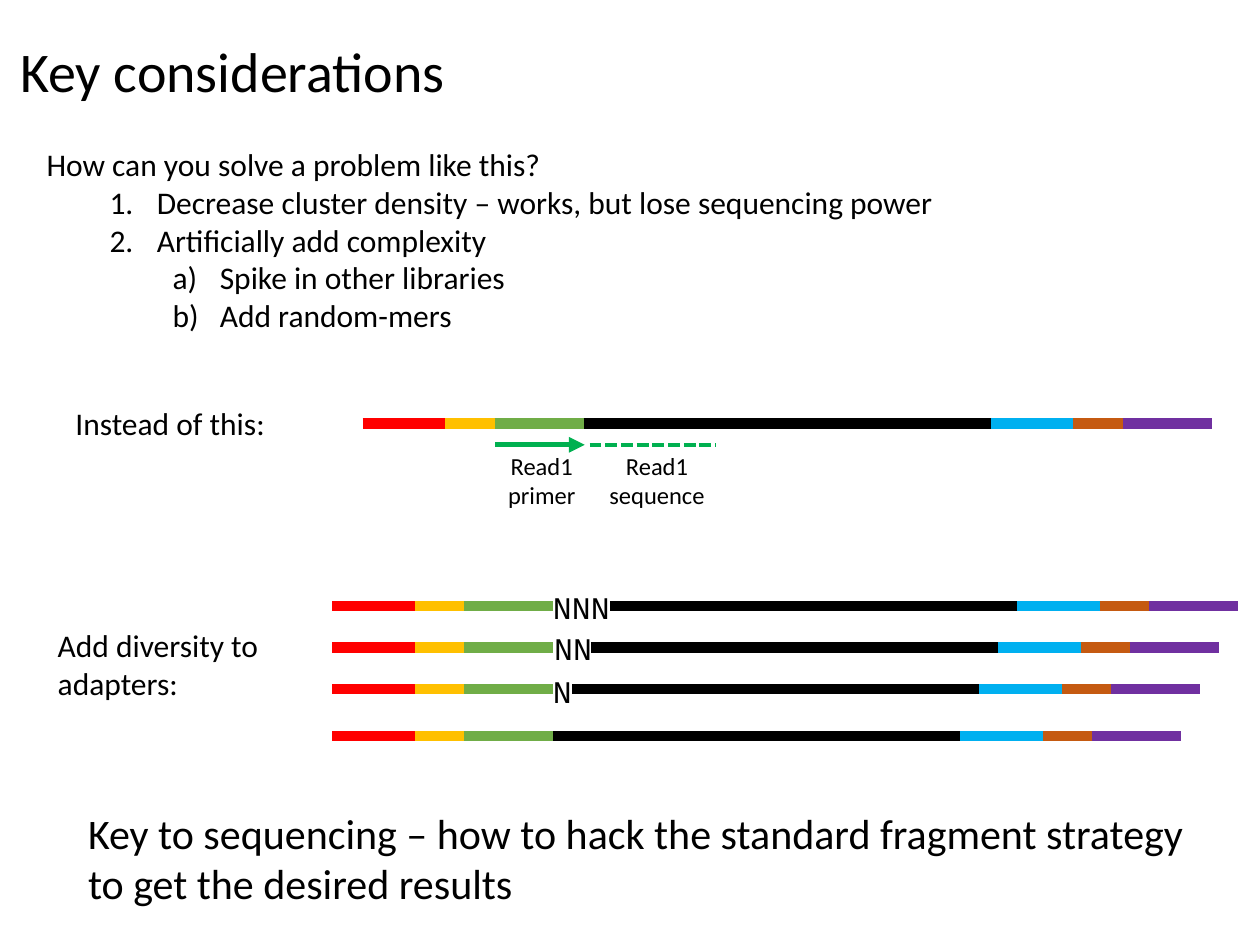
from dataclasses import dataclass

import pptx
import pptx.util
import pptx.dml.color
import pptx.enum.dml
import pptx.enum.shapes
import pptx.enum.text
import pptx.oxml.ns
from lxml import etree

Pt = pptx.util.Pt
ALIGN = pptx.enum.text.PP_ALIGN
FIT = pptx.enum.text.MSO_AUTO_SIZE
ANCHOR = pptx.enum.text.MSO_ANCHOR
DASH = pptx.enum.dml.MSO_LINE.SQUARE_DOT
STRAIGHT = pptx.enum.shapes.MSO_CONNECTOR.STRAIGHT
qn = pptx.oxml.ns.qn

COLORS = {
    "black": "000000", "red": "FF0000", "gold": "FFC000", "green": "70AD47",
    "blue": "00B0F0", "brown": "C55A11", "purple": "7030A0", "read": "00B050",
}


@dataclass
class Label:
    text: str
    left: float
    top: float
    width: float
    height: float
    size: float = 18
    face: str = "Calibri"
    align: ALIGN = ALIGN.LEFT


@dataclass
class Strand:
    left: float
    y: float
    gap: float = 0


@dataclass
class Item:
    text: str
    level: int = 0
    scheme: str = ""


# Segment colours and lengths on each side of the random-mer gap
HEAD = [("red", 47.2), ("gold", 28.2), ("green", 50.9)]
TAIL = [("black", 232.6), ("blue", 47.2), ("brown", 28.2), ("purple", 51)]
STEP = 10.8  # shift per random base

STRANDS = [
    Strand(207.2, 241.9),
    Strand(189.8, 346.3, 3 * STEP),
    Strand(189.8, 370.1, 2 * STEP),
    Strand(189.8, 393.8, STEP),
    Strand(189.8, 420.5),
]

LABELS = [
    Label("Instead of this:", 36, 227.5, 193, 29),
    Label("Read1 primer", 276.5, 254.2, 66.2, 41, 14, align=ALIGN.CENTER),
    Label("Read1 sequence", 339.1, 254.2, 72.7, 41, 14, align=ALIGN.CENTER),
    Label("Add diversity to adapters:", 25.9, 354.2, 146.2, 51),
    Label("N", 308.9, 380.2, 29.5, 29, face="Courier New"),
    Label("NN", 309.6, 355.7, 46.8, 29, face="Courier New"),
    Label("NNN", 308.9, 332.6, 48, 29, face="Courier New"),
    Label("Key to sequencing – how to hack the standard fragment strategy "
          "to get the desired results", 43.2, 457.9, 658.8, 65.5, 24),
]

ITEMS = [
    Item("How can you solve a problem like this?"),
    Item("Decrease cluster density – works, but lose sequencing power",
         1, "arabicPeriod"),
    Item("Artificially add complexity", 1, "arabicPeriod"),
    Item("Spike in other libraries", 2, "alphaLcParenR"),
    Item("Add random-mers", 2, "alphaLcParenR"),
]


def color(name: str) -> pptx.dml.color.RGBColor:
    return pptx.dml.color.RGBColor.from_string(COLORS[name])


def assign(target, values: dict) -> None:
    for key, value in values.items():
        setattr(target, key, value)


def place(shape, left: float, top: float, width: float, height: float) -> None:
    assign(shape, {"left": Pt(left), "top": Pt(top),
                   "width": Pt(width), "height": Pt(height)})


def write(para, text: str, size: float, face: str = "Calibri") -> None:
    run = para.add_run()
    run.text = text
    assign(run.font, {"size": Pt(size), "name": face})
    run.font.color.rgb = color("black")


def draw_line(slide, start: float, end: float, y: float, tint: str,
              width: float, dash=None, arrow: bool = False) -> None:
    line = slide.shapes.add_connector(STRAIGHT, Pt(start), Pt(y), Pt(end), Pt(y))
    line.line.color.rgb = color(tint)
    assign(line.line, {"width": Pt(width), "dash_style": dash})
    if arrow:
        etree.SubElement(line.line._ln, qn("a:tailEnd"), type="triangle")
    etree.SubElement(line._element.spPr, qn("a:effectLst"))


def draw_strand(slide, strand: Strand) -> None:
    x = strand.left
    for part, gap in ((HEAD, strand.gap), (TAIL, 0)):
        for tint, length in part:
            draw_line(slide, x, x + length, strand.y, tint, 6)
            x += length
        x += gap


def draw_label(slide, label: Label) -> None:
    box = slide.shapes.add_textbox(0, 0, 0, 0)
    place(box, label.left, label.top, label.width, label.height)
    assign(box.text_frame, {"word_wrap": True,
                            "auto_size": FIT.SHAPE_TO_FIT_TEXT})
    para = box.text_frame.paragraphs[0]
    para.alignment = label.align
    write(para, label.text, label.size, label.face)


def fill_list(body, items: list[Item]) -> None:
    frame = body.text_frame
    assign(frame, {"word_wrap": True, "auto_size": FIT.SHAPE_TO_FIT_TEXT})
    for i, item in enumerate(items):
        para = frame.add_paragraph() if i else frame.paragraphs[0]
        assign(para, {"level": item.level, "space_before": Pt(0)})
        props = para._p.get_or_add_pPr()
        hang = Pt(27) if item.scheme else 0
        props.set("marL", str(Pt(36 * item.level) + hang))
        props.set("indent", str(-hang))
        if item.scheme:
            etree.SubElement(props, qn("a:buFont"), typeface="+mj-lt")
            etree.SubElement(props, qn("a:buAutoNum"), type=item.scheme)
        else:
            etree.SubElement(props, qn("a:buNone"))
        write(para, item.text, 18)


def main() -> None:
    deck = pptx.Presentation()
    assign(deck, {"slide_width": Pt(720), "slide_height": Pt(540)})
    slide = deck.slides.add_slide(deck.slide_layouts[1])

    # Title and list
    title, body = slide.placeholders
    place(title, 4.3, 9.4, 563, 66.2)
    assign(title.text_frame, {"vertical_anchor": ANCHOR.MIDDLE,
                              "auto_size": FIT.NONE})
    para = title.text_frame.paragraphs[0]
    assign(para, {"alignment": ALIGN.LEFT, "line_spacing": 0.9})
    write(para, "Key considerations", 32)
    place(body, 19.4, 79.2, 650.2, 138.2)
    fill_list(body, ITEMS)

    # Library fragments
    for strand in STRANDS:
        draw_strand(slide, strand)

    # Read 1 primer and its sequence
    draw_line(slide, 283, 334.1, 254.2, "read", 3, arrow=True)
    draw_line(slide, 337, 409, 254.2, "read", 2.25, dash=DASH)

    # Labels
    for label in LABELS:
        draw_label(slide, label)

    deck.save("out.pptx")


if __name__ == "__main__":
    main()
